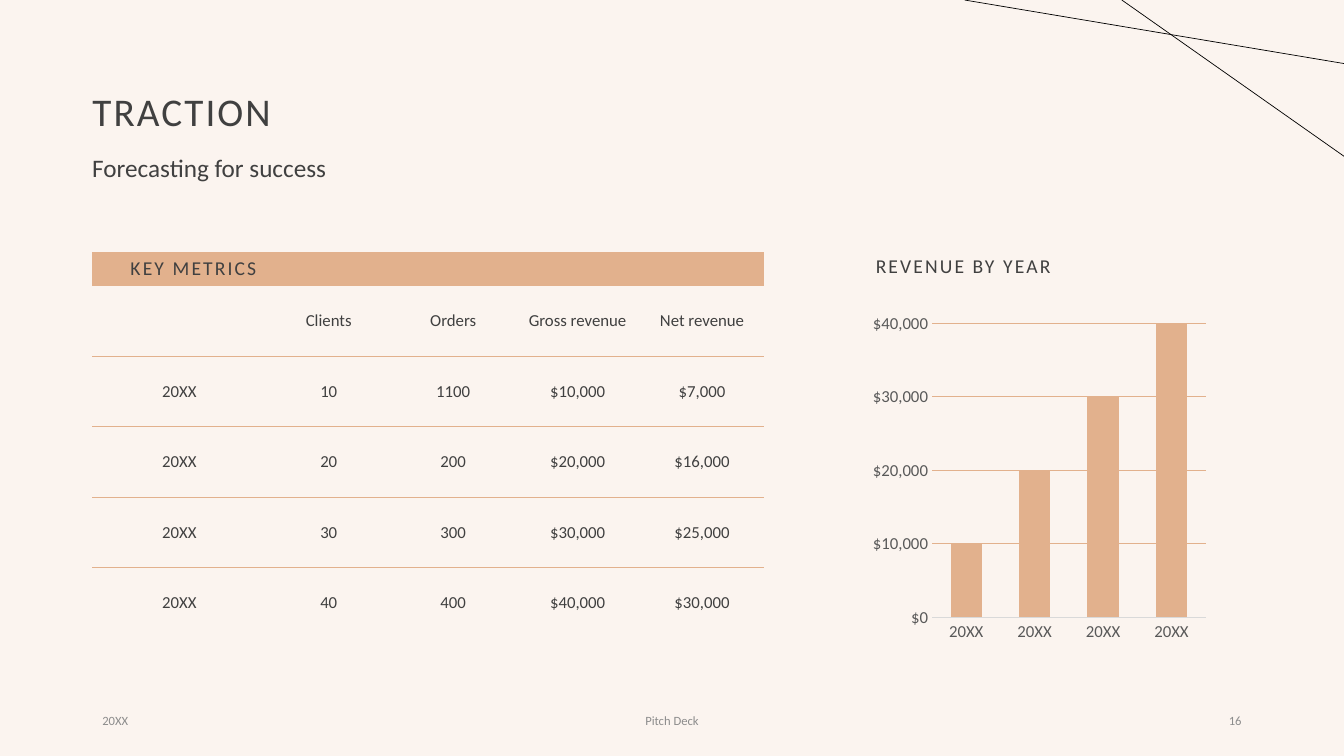
"""Build the traction slide with a key metrics table and a revenue chart."""

from dataclasses import dataclass

from lxml.etree import SubElement
from pptx import Presentation
from pptx.chart.data import CategoryChartData
from pptx.dml.color import RGBColor
from pptx.enum.chart import XL_CHART_TYPE, XL_TICK_MARK
from pptx.enum.shapes import MSO_CONNECTOR
from pptx.enum.text import MSO_ANCHOR, MSO_AUTO_SIZE, PP_ALIGN
from pptx.oxml.ns import qn
from pptx.util import Pt

FONT = "Calibri"
COLORS = {
    "background": "FBF4EF",
    "accent": "E2B18D",
    "text": "404040",
    "footer": "8C8C8C",
    "axis_text": "595959",
    "axis_line": "D9D9D9",
    "line": "000000",
}
NO_TABLE_STYLE = "{2D5ABB26-0587-4C30-8999-92F81FD0307C}"
TABLE_BOX = (66, 180, 480, 275.8)
COLUMN_WIDTHS = (124.4, 88.9, 88.9, 88.9, 88.9)
BAND_HEIGHT, ROW_HEIGHT = 24.3, 50.3
METRICS = (
    ("KEY METRICS", "", "", "", ""),
    ("", "Clients", "Orders", "Gross revenue", "Net revenue"),
    ("20XX", "10", "1100", "$10,000", "$7,000"),
    ("20XX", "20", "200", "$20,000", "$16,000"),
    ("20XX", "30", "300", "$30,000", "$25,000"),
    ("20XX", "40", "400", "$40,000", "$30,000"),
)
CHART_BOX = (618.5, 219, 247.7, 244)
REVENUE = (10000, 20000, 30000, 40000)


@dataclass(frozen=True)
class TextStyle:
    """Character and paragraph formatting."""

    size: float
    color: str = "text"
    align: PP_ALIGN = PP_ALIGN.LEFT
    tracking: float = 0
    line_spacing: float = 1.0


@dataclass(frozen=True)
class Label:
    """A text box with its position in points."""

    text: str
    box: tuple[float, float, float, float]
    style: TextStyle
    anchor: MSO_ANCHOR = MSO_ANCHOR.TOP


@dataclass(frozen=True)
class Line:
    """A decorative line between two points."""

    start: tuple[float, float]
    end: tuple[float, float]


TITLE = Label("TRACTION", (66, 28.8, 828, 104.4),
              TextStyle(28, tracking=1.5, line_spacing=0.9), MSO_ANCHOR.MIDDLE)
LABELS = (
    Label("Forecasting for success", (58.8, 107.5, 532.8, 38.9), TextStyle(18, line_spacing=0.9)),
    Label("REVENUE BY YEAR", (618.5, 180, 247.7, 24.5),
          TextStyle(14, tracking=1.5, line_spacing=0.9)),
    Label("20XX", (66, 500.5, 216, 28.8), TextStyle(9, "footer"), MSO_ANCHOR.MIDDLE),
    Label("Pitch Deck", (318, 500.5, 324, 28.8),
          TextStyle(9, "footer", PP_ALIGN.CENTER), MSO_ANCHOR.MIDDLE),
    Label("16", (678, 500.5, 216, 28.8),
          TextStyle(9, "footer", PP_ALIGN.RIGHT), MSO_ANCHOR.MIDDLE),
)
BAND_STYLE = TextStyle(14, align=PP_ALIGN.RIGHT, tracking=1.5)
CELL_STYLE = TextStyle(12, align=PP_ALIGN.CENTER)
LINES = (Line((801.3, 0), (960, 111.6)), Line((689, 0), (960, 45.4)))


def color(name: str) -> RGBColor:
    """Return a named colour."""
    return RGBColor.from_string(COLORS[name])


def points(values: tuple[float, ...]) -> list[Pt]:
    """Convert numbers to lengths in points."""
    return [Pt(value) for value in values]


def set_font(font, size: float, color_name: str) -> None:
    """Set the face, size and colour of a font."""
    font.name = FONT
    font.size = Pt(size)
    font.color.rgb = color(color_name)


def write_text(text_frame, text: str, style: TextStyle) -> None:
    """Fill a text frame with one styled paragraph."""
    paragraph = text_frame.paragraphs[0]
    paragraph.text = text
    paragraph.alignment = style.align
    paragraph.line_spacing = style.line_spacing
    set_font(paragraph.font, style.size, style.color)
    if style.tracking:
        properties = paragraph._p.get_or_add_pPr().get_or_add_defRPr()
        properties.set("spc", str(round(style.tracking * 100)))


def fill_label(shape, label: Label) -> None:
    """Place a shape and write its label."""
    shape.left, shape.top, shape.width, shape.height = points(label.box)
    text_frame = shape.text_frame
    text_frame.word_wrap = True
    text_frame.auto_size = MSO_AUTO_SIZE.NONE
    text_frame.vertical_anchor = label.anchor
    write_text(text_frame, label.text, label.style)


def add_bottom_border(cell) -> None:
    """Draw an accent rule under a table cell."""
    border = SubElement(cell._tc.get_or_add_tcPr(), qn("a:lnB"), w=str(Pt(1)))
    fill = SubElement(border, qn("a:solidFill"))
    SubElement(fill, qn("a:srgbClr"), val=COLORS["accent"])


def add_metrics_table(slide) -> None:
    """Add the key metrics table."""
    frame = slide.shapes.add_table(len(METRICS), len(COLUMN_WIDTHS), *points(TABLE_BOX))
    table = frame.table
    table.first_row = table.horz_banding = False
    table._tbl.tblPr.find(qn("a:tableStyleId")).text = NO_TABLE_STYLE
    for column, width in zip(table.columns, COLUMN_WIDTHS):
        column.width = Pt(width)
    for row_index, values in enumerate(METRICS):
        is_band = row_index == 0
        row = table.rows[row_index]
        row.height = Pt(BAND_HEIGHT if is_band else ROW_HEIGHT)
        for cell, value in zip(row.cells, values):
            cell.vertical_anchor = MSO_ANCHOR.MIDDLE
            cell.margin_top = cell.margin_bottom = Pt(0)
            write_text(cell.text_frame, value, BAND_STYLE if is_band else CELL_STYLE)
            if 0 < row_index < len(METRICS) - 1:
                add_bottom_border(cell)
            if is_band:
                cell.fill.solid()
                cell.fill.fore_color.rgb = color("accent")
            else:
                cell.fill.background()


def add_revenue_chart(slide) -> None:
    """Add the column chart of revenue by year."""
    data = CategoryChartData()
    data.categories = ["20XX"] * len(REVENUE)
    data.add_series("Series 1", REVENUE)
    frame = slide.shapes.add_chart(XL_CHART_TYPE.COLUMN_CLUSTERED, *points(CHART_BOX), data)
    chart = frame.chart
    chart.has_legend = chart.has_title = False
    set_font(chart.font, 10, "line")
    plot = chart.plots[0]
    plot.vary_by_categories = False
    plot.gap_width, plot.overlap = 118, -3
    series_fill = plot.series[0].format.fill
    series_fill.solid()
    series_fill.fore_color.rgb = color("accent")
    category_axis, value_axis = chart.category_axis, chart.value_axis
    for axis in (category_axis, value_axis):
        axis.major_tick_mark = axis.minor_tick_mark = XL_TICK_MARK.NONE
        set_font(axis.tick_labels.font, 12, "axis_text")
    value_axis.minimum_scale, value_axis.maximum_scale = 0, 40000
    value_axis.major_unit = 10000
    value_axis.tick_labels.number_format = "[$$-409]#,##0"
    value_axis.tick_labels.number_format_is_linked = False
    value_axis.format.line.fill.background()
    gridlines = value_axis.major_gridlines.format.line
    for line, name in ((category_axis.format.line, "axis_line"), (gridlines, "accent")):
        line.width = Pt(0.75)
        line.color.rgb = color(name)


def add_line(slide, line: Line) -> None:
    """Add a thin decorative line."""
    connector = slide.shapes.add_connector(
        MSO_CONNECTOR.STRAIGHT, *points(line.start), *points(line.end))
    connector.line.width = Pt(0.5)
    connector.line.color.rgb = color("line")
    SubElement(connector._element.spPr, qn("a:effectLst"))


def main() -> None:
    """Build and save the presentation."""
    presentation = Presentation()
    presentation.slide_width, presentation.slide_height = Pt(960), Pt(540)
    slide = presentation.slides.add_slide(presentation.slide_layouts[5])
    slide.background.fill.solid()
    slide.background.fill.fore_color.rgb = color("background")
    fill_label(slide.shapes.title, TITLE)
    slide.shapes.title.text_frame.margin_left = Pt(0)
    for label in LABELS:
        fill_label(slide.shapes.add_textbox(*points(label.box)), label)
    add_metrics_table(slide)
    add_revenue_chart(slide)
    for line in LINES:
        add_line(slide, line)
    presentation.save("out.pptx")


if __name__ == "__main__":
    main()
